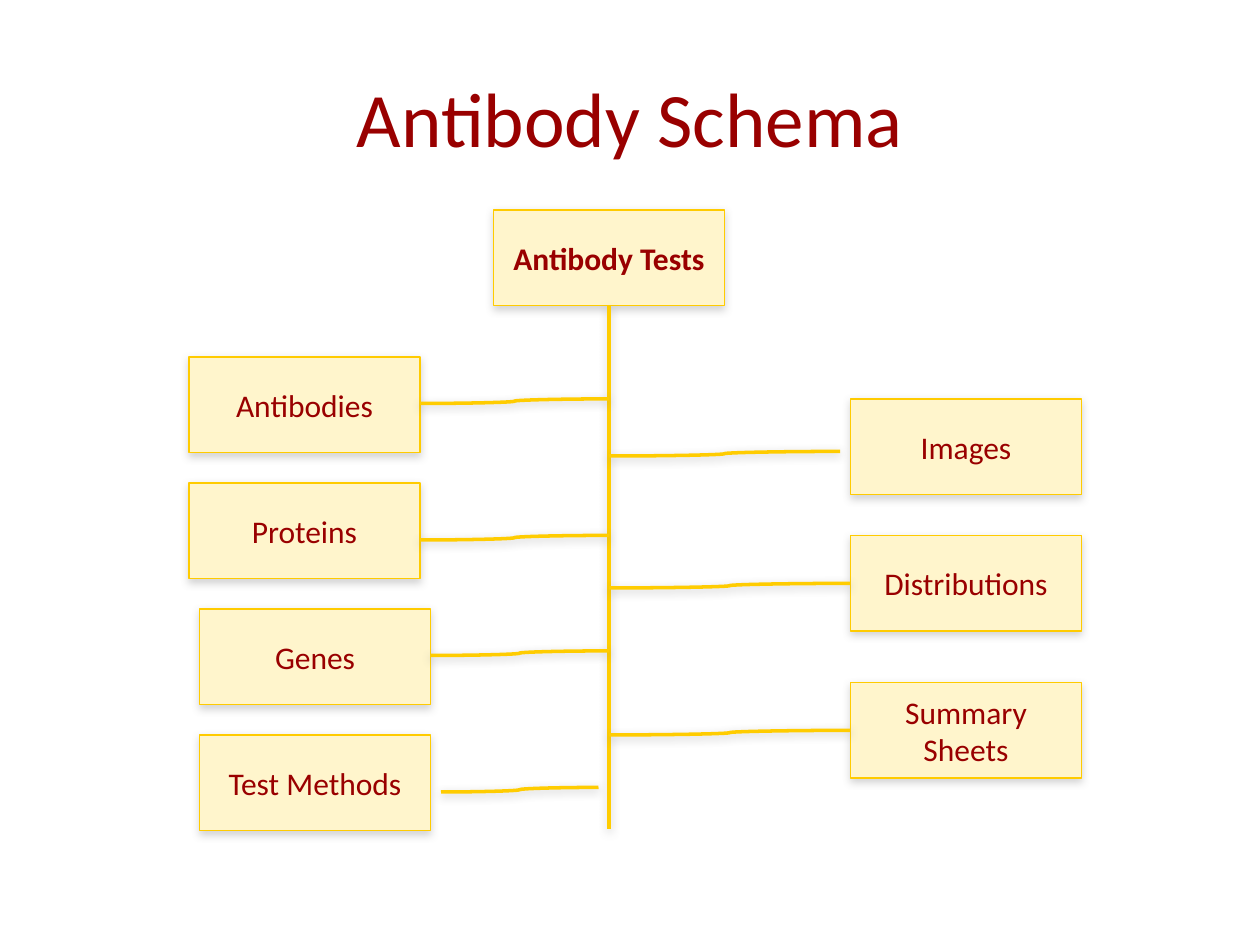
from lxml.etree import SubElement
from pptx import Presentation
from pptx.dml.color import RGBColor
from pptx.enum.shapes import MSO_CONNECTOR, MSO_SHAPE
from pptx.enum.text import MSO_ANCHOR, PP_ALIGN
from pptx.oxml.ns import qn
from pptx.util import Pt

DARK_RED = RGBColor(0x99, 0x00, 0x00)
CREAM = RGBColor(0xFF, 0xF5, 0xCC)
BOX_GOLD = RGBColor(0xFF, 0xCB, 0x00)
LINE_GOLD = RGBColor(0xFF, 0xCC, 0x00)
SHADOW_GREY = RGBColor(0x80, 0x80, 0x80)

BOX_WIDTH, BOX_HEIGHT = 132, 54.7
TRUNK_X, TRUNK_END = 240, 354
BRANCH_RISE = 2.6

# Label, box left, box top, branch start x, branch end x, branch end y
LEFT_TABLES = [
    ("Antibodies", 0, 84, 132, TRUNK_X, 108),
    ("Proteins", 0, 156, 132, TRUNK_X, 186),
    ("Genes", 6, 228, 138, TRUNK_X, 252),
    ("Test Methods", 6, 300, 144, TRUNK_X - 6, 330),
]
RIGHT_TABLES = [
    ("Images", 378, 108, TRUNK_X, 372, 138),
    ("Distributions", 378, 186, TRUNK_X, 378, 213.4),
    ("Summary Sheets", 378, 270, TRUNK_X, 378, 297.4),
]


def format_text(shape, text, size, bold=False):
    """Write centred dark red Calibri text into a shape."""
    text_frame = shape.text_frame
    text_frame.text = text
    text_frame.word_wrap = True
    text_frame.vertical_anchor = MSO_ANCHOR.MIDDLE
    paragraph = text_frame.paragraphs[0]
    paragraph.alignment = PP_ALIGN.CENTER
    font = paragraph.runs[0].font
    font.name, font.size, font.bold = "Calibri", Pt(size), bold
    font.color.rgb = DARK_RED


def add_shadow(properties, distance, opacity):
    """Give shape properties a soft shadow that falls straight down."""
    effects = properties.find(qn("a:effectLst"))
    if effects is None:
        effects = SubElement(properties, qn("a:effectLst"))
    shadow = SubElement(effects, qn("a:outerShdw"), blurRad=str(Pt(5)),
                        dist=str(Pt(distance)), dir="5400000", rotWithShape="0")
    color = SubElement(shadow, qn("a:srgbClr"), val=str(SHADOW_GREY))
    SubElement(color, qn("a:alpha"), val=str(opacity * 1000))


def add_box(slide, left, top, label, bold=False):
    """Add one labelled table box."""
    shape = slide.shapes.add_shape(
        MSO_SHAPE.RECTANGLE, Pt(left), Pt(top), Pt(BOX_WIDTH), Pt(BOX_HEIGHT))
    shape.fill.solid()
    shape.fill.fore_color.rgb = CREAM
    shape.line.color.rgb = BOX_GOLD
    shape.line.width = Pt(0.75)
    shape.shadow.inherit = False
    add_shadow(shape._element.spPr, 1.8, 35)
    format_text(shape, label, 18, bold)
    return shape


def add_line(slide, kind, start_x, start_y, end_x, end_y):
    """Add one gold connector."""
    connector = slide.shapes.add_connector(
        kind, Pt(start_x), Pt(start_y), Pt(end_x), Pt(end_y))
    connector.line.color.rgb = LINE_GOLD
    connector.line.width = Pt(2)
    add_shadow(connector._element.spPr, 1.6, 38)
    return connector


def add_title(slide, left, top, width, height):
    """Place and format the slide title."""
    title = slide.shapes.title
    title.left, title.top, title.width, title.height = map(Pt, (left, top, width, height))
    format_text(title, "Antibody Schema", 44)


def add_schema(slide, left, top):
    """Draw the root box, its trunk and the tables that branch off it."""
    trunk_x = left + TRUNK_X
    root = add_box(slide, trunk_x - BOX_WIDTH / 2, top, "Antibody Tests", bold=True)
    trunk = add_line(slide, MSO_CONNECTOR.STRAIGHT,
                     trunk_x, top + BOX_HEIGHT, trunk_x, top + TRUNK_END)
    trunk.begin_connect(root, 2)
    for label, box_left, box_top, start_x, end_x, end_y in LEFT_TABLES + RIGHT_TABLES:
        add_box(slide, left + box_left, top + box_top, label)
        add_line(slide, MSO_CONNECTOR.CURVE, left + start_x, top + end_y + BRANCH_RISE,
                 left + end_x, top + end_y)


def main():
    """Build and save the slide."""
    presentation = Presentation()
    presentation.slide_width, presentation.slide_height = Pt(720), Pt(540)
    slide = presentation.slides.add_slide(presentation.slide_layouts[5])
    add_title(slide, 36, 21.6, 648, 90)
    add_schema(slide, 108, 120)
    presentation.save("out.pptx")


if __name__ == "__main__":
    main()
